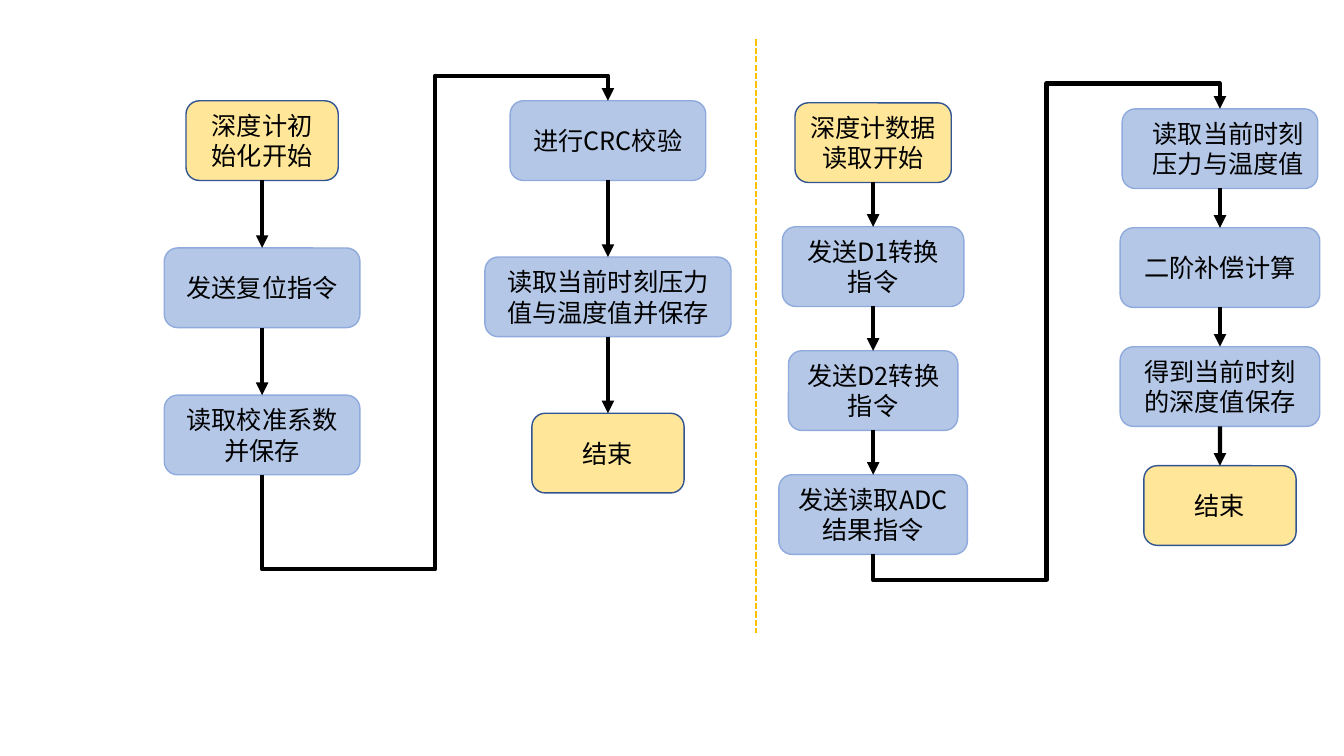
from itertools import pairwise

from lxml import etree
from pptx import Presentation
from pptx.dml.color import RGBColor
from pptx.enum.dml import MSO_LINE
from pptx.enum.shapes import MSO_CONNECTOR, MSO_SHAPE
from pptx.enum.text import MSO_ANCHOR, PP_ALIGN
from pptx.oxml.ns import qn
from pptx.util import Inches, Pt

STRAIGHT, ELBOW = MSO_CONNECTOR.STRAIGHT, MSO_CONNECTOR.ELBOW
ROUND_RECT = MSO_SHAPE.ROUNDED_RECTANGLE
CENTER, RIGHT = PP_ALIGN.CENTER, PP_ALIGN.RIGHT
MIDDLE = MSO_ANCHOR.MIDDLE
DASH = MSO_LINE.SQUARE_DOT
TOP_SITE, BOTTOM_SITE = 0, 2

FONT = "Noto Sans CJK SC"
BOX_H = 0.79
TERMINAL = {"fill": "FFE699", "line": "325491"}
STEP = {"fill": "B4C7E7", "line": "8FAADC"}

# Each column: centre x, first top, pitch, then (text, width, style, alignment).
INIT_LEFT = (2.6, 1, 1.46, [
    ("深度计初始化开始", 1.51, TERMINAL, CENTER),
    ("发送复位指令", 1.94, STEP, CENTER),
    ("读取校准系数并保存", 1.94, STEP, CENTER),
])
INIT_RIGHT = (6.03, 1, 1.55, [
    ("进行CRC校验", 1.94, STEP, CENTER),
    ("读取当前时刻压力值与温度值并保存", 2.44, STEP, CENTER),
    ("结束", 1.51, TERMINAL, CENTER),
])
READ_LEFT = (8.66, 1.02, 1.23, [
    ("深度计数据读取开始", 1.55, TERMINAL, CENTER),
    ("发送D1转换指令", 1.8, STEP, CENTER),
    ("发送D2转换指令", 1.68, STEP, CENTER),
    ("发送读取ADC结果指令", 1.87, STEP, CENTER),
])
READ_RIGHT = (12.1, 1.08, 1.18, [
    ("读取当前时刻压力与温度值", 1.94, STEP, RIGHT),
    ("二阶补偿计算", 1.98, STEP, CENTER),
    ("得到当前时刻的深度值保存", 1.98, STEP, CENTER),
    ("结束", 1.51, TERMINAL, CENTER),
])


def rgb(value):
    return RGBColor.from_string(value)


def add_box(s, cx, top, text, width, style, align):
    sp = s.shapes.add_shape(ROUND_RECT, Inches(cx - width / 2), Inches(top),
                            Inches(width), Inches(BOX_H))
    sp.shadow.inherit = False
    sp.fill.solid()
    sp.fill.fore_color.rgb = rgb(style["fill"])
    sp.line.color.rgb = rgb(style["line"])
    sp.line.width = Pt(1)
    tf = sp.text_frame
    tf.word_wrap = True
    tf.vertical_anchor = MIDDLE
    p = tf.paragraphs[0]
    p.alignment = align
    r = p.add_run()
    r.text = text
    for name, value in {"size": Pt(18), "name": FONT}.items():
        setattr(r.font, name, value)
    r.font.color.rgb = rgb("000000")
    etree.SubElement(r.font._element, qn("a:ea"), typeface=FONT)
    return sp


def add_line(s, kind, start, end, color="000000", width=3, arrow=True):
    line = s.shapes.add_connector(kind, *map(Inches, start + end))
    line.line.color.rgb = rgb(color)
    line.line.width = Pt(width)
    if arrow:
        etree.SubElement(line.line._get_or_add_ln(), qn("a:tailEnd"), type="triangle")
    etree.SubElement(line._element.spPr, qn("a:effectLst"))
    return line


def add_column(s, cx, top, pitch, steps):
    """Stack the boxes at an equal pitch and join neighbours with arrows."""
    boxes = [add_box(s, cx, top + i * pitch, *step) for i, step in enumerate(steps)]
    for i, (upper, lower) in enumerate(pairwise(boxes)):
        y = top + i * pitch
        arrow = add_line(s, STRAIGHT, (cx, y + BOX_H), (cx, y + pitch))
        arrow.begin_connect(upper, BOTTOM_SITE)
        arrow.end_connect(lower, TOP_SITE)


def add_return(s, start, end, drop, rise, middle):
    """Lead from the foot of one column, up between both, to the next column's head."""
    (x1, y1), (x2, y2) = start, end
    run, climb = x2 - x1, y1 - y2
    cx, cy = (x1 + x2) / 2, (y1 + y2) / 2
    # The five-part connector lies on its side, so its box is turned by 90 degrees.
    line = add_line(s, ELBOW, (cx + climb / 2, cy + run / 2),
                    (cx - climb / 2, cy - run / 2))
    spPr = line._element.spPr
    spPr.find(qn("a:xfrm")).set("rot", "5400000")
    geom = spPr.find(qn("a:prstGeom"))
    geom.set("prst", "bentConnector5")
    guides = geom.find(qn("a:avLst"))
    if guides is None:
        guides = etree.SubElement(geom, qn("a:avLst"))
    for i, share in enumerate((-drop / climb, middle, 1 + rise / climb), 1):
        etree.SubElement(guides, qn("a:gd"), name=f"adj{i}",
                         fmla=f"val {round(share * 100000)}")


def add_flow(s, left, right, drop, rise=0.25, middle=0.5):
    add_column(s, *left)
    add_column(s, *right)
    cx, top, pitch, steps = left
    foot = top + (len(steps) - 1) * pitch + BOX_H
    add_return(s, (cx, foot), right[:2], drop, rise, middle)


def add_divider(s):
    line = add_line(s, STRAIGHT, (7.5, 0.39), (7.5, 6.28), "FFC000", 1.5, arrow=False)
    line.line.dash_style = DASH


def main():
    prs = Presentation()
    prs.slide_width, prs.slide_height = Inches(13.33), Inches(7.5)
    s = prs.slides.add_slide(prs.slide_layouts[6])
    add_flow(s, INIT_LEFT, INIT_RIGHT, drop=0.94)
    add_divider(s)
    add_flow(s, READ_LEFT, READ_RIGHT, drop=0.25)
    prs.save("out.pptx")


if __name__ == "__main__":
    main()
